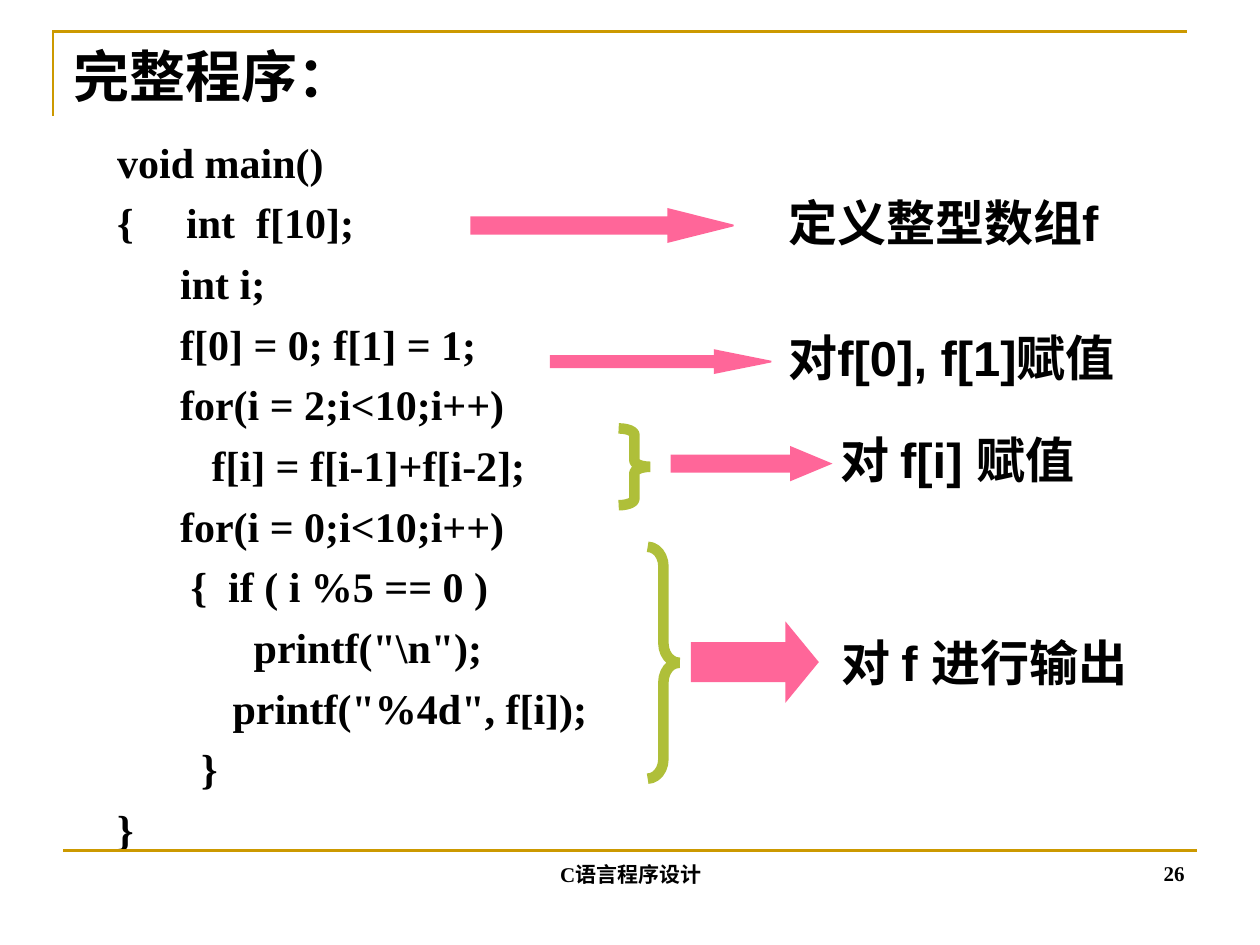
import dataclasses

import lxml.etree
import pptx
import pptx.dml.color
import pptx.enum.shapes
import pptx.enum.text
import pptx.oxml.ns
import pptx.util

SHAPE = pptx.enum.shapes.MSO_SHAPE
ALIGN = pptx.enum.text.PP_ALIGN
ANCHOR = pptx.enum.text.MSO_ANCHOR
FIT = pptx.enum.text.MSO_AUTO_SIZE
COLUMNS, ROWS = 100, 75


@dataclasses.dataclass(frozen=True)
class Theme:
    """Colours, fonts and type sizes of the slide."""
    ink: str = "000000"
    rule: str = "CC9900"
    arrow: str = "FF6699"
    brace: str = "AFBF39"
    sans: str = "Arial"
    serif: str = "Times New Roman"
    title: int = 32
    label: int = 28
    code: int = 24
    footer: int = 12
    code_leading: float = 1.1
    code_gap: int = 3


class CodeSlide:
    """Draws the parts of an annotated program on a 100 by 75 grid."""

    def __init__(self, deck, theme):
        self.theme = theme
        self.cell_w = deck.slide_width / COLUMNS
        self.cell_h = deck.slide_height / ROWS
        self.slide = deck.slides.add_slide(deck.slide_layouts[1])
        self.shapes = self.slide.shapes

    def box(self, left, top, width, height):
        """Turn grid columns and rows into slide lengths."""
        return (round(left * self.cell_w), round(top * self.cell_h),
                round(width * self.cell_w), round(height * self.cell_h))

    def stroke(self, item, colour, width, join="a:miter"):
        """Set a solid outline with the given corner join."""
        item.line.color.rgb = pptx.dml.color.RGBColor.from_string(colour)
        item.line.width = pptx.util.Pt(width)
        outline = item._element.spPr.find(pptx.oxml.ns.qn("a:ln"))
        lxml.etree.SubElement(outline, pptx.oxml.ns.qn(join))

    def type_style(self, frame, size, font):
        """Format every run of a text frame."""
        for paragraph in frame.paragraphs:
            for run in paragraph.runs:
                run.font.size = pptx.util.Pt(size)
                run.font.name = font
                run.font.bold = True
                run.font.color.rgb = pptx.dml.color.RGBColor.from_string(self.theme.ink)

    def move(self, item, place):
        """Put an item on the grid."""
        item.left, item.top, item.width, item.height = self.box(*place)

    def title(self, place, words):
        """Fill the title placeholder."""
        heading = self.shapes.title
        self.move(heading, place)
        frame = heading.text_frame
        frame.text = words
        frame.word_wrap = False
        frame.auto_size = FIT.SHAPE_TO_FIT_TEXT
        frame.vertical_anchor = ANCHOR.TOP
        frame.paragraphs[0].alignment = ALIGN.LEFT
        self.type_style(frame, self.theme.title, self.theme.sans)

    def code(self, place, lines):
        """Fill the body placeholder with lines indented in space widths."""
        listing = self.slide.placeholders[1]
        self.move(listing, place)
        frame = listing.text_frame
        frame.auto_size = FIT.NONE
        frame.text = "\n".join(words for _, words in lines)
        space = pptx.util.Pt(self.theme.code / 4)
        for paragraph, (lead, _) in zip(frame.paragraphs, lines):
            paragraph.line_spacing = self.theme.code_leading
            paragraph.space_before = pptx.util.Pt(self.theme.code_gap)
            props = paragraph._p.get_or_add_pPr()
            props.set("marL", "0")
            props.set("indent", str(round(lead * space)))
            lxml.etree.SubElement(props, pptx.oxml.ns.qn("a:buNone"))
        self.type_style(frame, self.theme.code, self.theme.serif)

    def text(self, place, words, size, font, align=ALIGN.LEFT, anchor=ANCHOR.TOP):
        """Add a wrapped text box."""
        frame = self.shapes.add_textbox(*self.box(*place)).text_frame
        frame.text = words
        frame.word_wrap = True
        frame.vertical_anchor = anchor
        frame.paragraphs[0].alignment = align
        self.type_style(frame, size, font)

    def arrow(self, place, head):
        """Add a block arrow pointing right."""
        pointer = self.shapes.add_shape(SHAPE.RIGHT_ARROW, *self.box(*place))
        pointer.shadow.inherit = False
        pointer.adjustments[0], pointer.adjustments[1] = 0.5, head
        pointer.fill.solid()
        pointer.fill.fore_color.rgb = pptx.dml.color.RGBColor.from_string(self.theme.arrow)
        self.stroke(pointer, self.theme.arrow, 1)

    def brace(self, place, curl):
        """Add a right brace that groups code lines."""
        group = self.shapes.add_shape(SHAPE.RIGHT_BRACE, *self.box(*place))
        group.shadow.inherit = False
        group.adjustments[0], group.adjustments[1] = curl, 0.5
        group.fill.background()
        self.stroke(group, self.theme.brace, 6, "a:bevel")

    def corner(self, left, top, width, height):
        """Add the open frame around the title."""
        x, y, w, h = self.box(left, top, width, height)
        builder = self.shapes.build_freeform(x, y + h)
        builder.add_line_segments([(x, y), (x + w, y)], close=False)
        frame = builder.convert_to_shape()
        frame.shadow.inherit = False
        frame.fill.background()
        self.stroke(frame, self.theme.rule, 1.5)

    def rule(self, left, top, width):
        """Add a horizontal rule."""
        x, y, w, _ = self.box(left, top, width, 0)
        line = self.shapes.add_connector(
            pptx.enum.shapes.MSO_CONNECTOR.STRAIGHT, x, y, x + w, y)
        self.stroke(line, self.theme.rule, 1.5)
        lxml.etree.SubElement(line._element.spPr, pptx.oxml.ns.qn("a:effectLst"))


PROGRAM = [
    (0, "void main()"),
    (0, "{     int  f[10];"),
    (6, "int i;"),
    (6, "f[0] = 0; f[1] = 1;"),
    (6, "for(i = 2;i<10;i++)"),
    (9, "f[i] = f[i-1]+f[i-2];"),
    (6, "for(i = 0;i<10;i++)"),
    (7, "{  if ( i %5 == 0 )"),
    (13, "printf(\"\\n\");"),
    (11, "printf(\"%4d\", f[i]);"),
    (8, "}"),
    (0, "}"),
]
NOTES = [
    ((37.4, 16.6, 20.8, 2.6), 1.99, (61.6, 14.8, 29.5, 5.7), "定义整型数组f"),
    ((43.7, 27.8, 17.5, 1.8), 2.49, (61.6, 25.5, 32.5, 5.7), "对f[0], f[1]赋值"),
    ((53.3, 35.5, 12.6, 2.6), 1.2, (65.7, 33.6, 25.3, 5.7), "对 f[i] 赋值"),
    ((54.9, 49.5, 10, 6.1), 0.41, (65.8, 49.7, 27.6, 5.7), "对 f 进行输出"),
]
BRACES = [((49.1, 34, 2.5, 6.1), 0.2), ((51.4, 43.4, 2.5, 18.4), 0.62)]

deck = pptx.Presentation()
deck.slide_width = pptx.util.Inches(10)
deck.slide_height = pptx.util.Inches(7.5)
theme = Theme()
page = CodeSlide(deck, theme)
page.corner(4.2, 2.5, 90, 6.7)
page.rule(5, 67.5, 90)
page.title((4.8, 2.8, 24.2, 6.4), "完整程序：")
page.code((8.3, 9.9, 52.5, 60.4), PROGRAM)
for arrow_place, head, label_place, words in NOTES:
    page.arrow(arrow_place, head)
    page.text(label_place, words, theme.label, theme.sans)
for place, curl in BRACES:
    page.brace(place, curl)
page.text((71.7, 65.8, 23.3, 5), "26", theme.footer, theme.serif, ALIGN.RIGHT, ANCHOR.BOTTOM)
page.text((34.2, 65.9, 31.7, 5), "C语言程序设计", theme.footer, theme.serif,
          ALIGN.CENTER, ANCHOR.BOTTOM)
deck.save("out.pptx")
